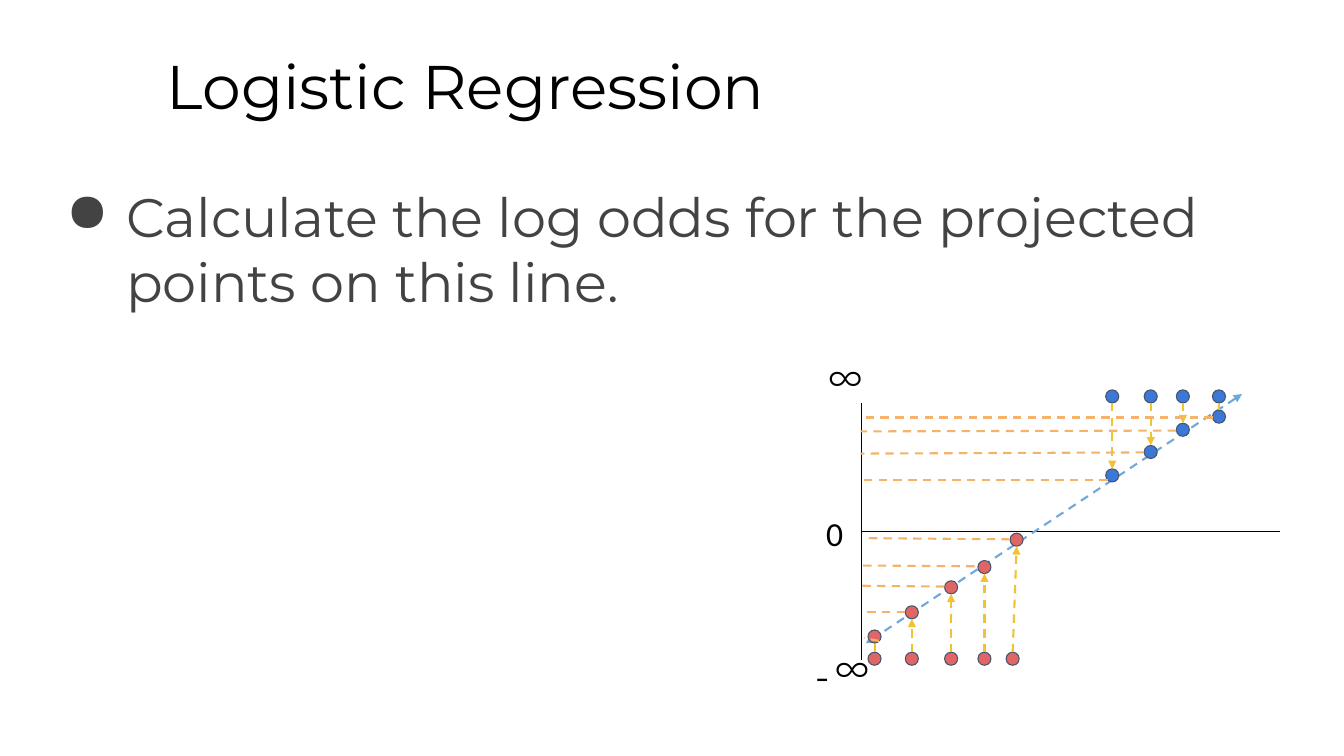
from lxml import etree
from pptx import Presentation
from pptx import util as u
from pptx.dml.color import RGBColor
from pptx.enum import dml, shapes, text
from pptx.oxml.ns import qn

INK, GREY = "000000", "434343"
BLUE, RED, EDGE = "3C78D8", "E06666", "44546A"
TREND, DROP, GUIDE = "6FA8DC", "F1C232", "F6B26B"
RAD = 0.165  # dot radius in cm

# Per class: colour, start height, and points as
# (start x, projected x, projected y, guide line), in cm from the axis top
GROUPS = [
    (RED, 6.44, [
        (0.32, 0.32, 5.88, (0.43, 5.99, 0.05, 5.92)),
        (1.26, 1.26, 5.27, (1.09, 5.26, 0.05, 5.26)),
        (2.25, 2.25, 4.64, (2.08, 4.62, -0.03, 4.6)),
        (3.09, 3.09, 4.13, (2.84, 4.11, -0.1, 4.09)),
        (3.8, 3.9, 3.44, (3.73, 3.43, 0.05, 3.4))]),
    (BLUE, -0.17, [
        (6.31, 6.31, 1.82, (6.2, 1.93, 0, 1.93)),
        (7.28, 7.28, 1.23, (7.11, 1.24, -0.03, 1.27)),
        (8.09, 8.09, 0.67, (7.92, 0.69, -0.03, 0.71)),
        (9, 9, 0.34, (8.84, 0.36, 0.05, 0.36))]),
]

# Axis labels: text, offset and size in cm, font size, font, left indent
LABELS = [
    ("0", (-1.04, 2.54, 0.48, 0.56), 24, "Calibri", 0),
    ("∞", (-0.99, -1.42, 0.48, 0.56), 26.7, "Montserrat", 0),
    ("∞", (-2.72, 5.89, 2.06, 0.56), 26.7, "Montserrat", 1.7),
    ("-", (-3.15, 5.97, 0.61, 0.81), 26.7, "Montserrat", 1.7),
]


def tint(code):
    return RGBColor.from_string(code)


def write(slide, box, words, size, face="Montserrat", shade=INK, left=0, hang=0):
    frame = slide.shapes.add_textbox(*map(u.Cm, box)).text_frame
    look = {"word_wrap": True, "vertical_anchor": text.MSO_ANCHOR.TOP}
    for side in ("left", "right", "top", "bottom"):
        look["margin_" + side] = u.Cm(0.34)
    for key, val in look.items():
        setattr(frame, key, val)
    para = frame.paragraphs[0]
    props = para._p.get_or_add_pPr()
    props.set("marL", str(u.Cm(left)))
    props.set("indent", str(u.Cm(hang)))
    if hang:
        hue = etree.SubElement(props, qn("a:buClr"))
        etree.SubElement(hue, qn("a:srgbClr"), val=shade)
        etree.SubElement(props, qn("a:buChar"), char="●")
    run = para.add_run()
    run.text = words
    for key, val in {"size": u.Pt(size), "name": face}.items():
        setattr(run.font, key, val)
    run.font.color.rgb = tint(shade)
    return para


def link(slide, ends, shade, width=1.5, dash=True, heads=()):
    line = slide.shapes.add_connector(
        shapes.MSO_CONNECTOR.STRAIGHT, *map(u.Cm, ends))
    line.line.color.rgb = tint(shade)
    line.line.width = u.Pt(width)
    if dash:
        line.line.dash_style = dml.MSO_LINE.DASH
    for end in heads:
        etree.SubElement(line.line._get_or_add_ln(), qn("a:" + end), type="triangle")
    etree.SubElement(line._element.spPr, qn("a:effectLst"))


def dot(slide, x, y, shade):
    oval = slide.shapes.add_shape(
        shapes.MSO_SHAPE.OVAL, *map(u.Cm, (x - RAD, y - RAD, 2 * RAD, 2 * RAD)))
    oval.shadow.inherit = False
    oval.fill.solid()
    oval.fill.fore_color.rgb = tint(shade)
    oval.line.color.rgb = tint(EDGE)
    oval.line.width = u.Pt(0.75)


def title(slide, box):
    write(slide, box, "Logistic Regression", 44).line_spacing = 0.9


def body(slide, box):
    write(slide, box,
          "Calculate the log odds for the projected points on this line.",
          38.7, shade=GREY, left=1.7, hang=-1.52)


def plot(slide, box):
    left, top, wide, high = box

    def at(x0, y0, x1, y1):
        return left + x0, top + y0, left + x1, top + y1

    # Axes and their labels
    for ends in ((0, 0, 0, high), (wide, high / 2, 0, high / 2)):
        link(slide, at(*ends), INK, 0.75, dash=False)
    for words, (x, y, w, h), size, face, pad in LABELS:
        write(slide, (left + x, top + y, w, h), words, size, face, left=pad)

    # Starting dots, trend line, projected dots
    for shade, base, points in GROUPS:
        for x, *_ in points:
            dot(slide, left + x, top + base, shade)
    link(slide, at(0.1, 6.05, 9.58, -0.23), TREND, heads=("headEnd", "tailEnd"))
    for shade, _, points in GROUPS:
        for _, x, y, _ in points:
            dot(slide, left + x, top + y, shade)

    # Projection arrows, with no head where the gap is short, then guides
    for _, base, points in GROUPS:
        for x, px, y, _ in points:
            step = RAD if y > base else -RAD
            heads = ("tailEnd",) if abs(y - base) > 0.6 else ()
            link(slide, at(x, base + step, px, y - step), DROP, heads=heads)
    for _, _, points in GROUPS:
        for *_, ends in points:
            link(slide, at(*ends), GUIDE)


def main():
    deck = Presentation()
    deck.slide_width, deck.slide_height = u.Cm(33.87), u.Cm(19.05)
    slide = deck.slides.add_slide(deck.slide_layouts[6])
    title(slide, (3.86, 1.09, 28.85, 2.13))
    body(slide, (1.14, 4.27, 32.16, 6.48))
    plot(slide, (21.72, 10.16, 10.54, 6.48))
    deck.save("out.pptx")


if __name__ == "__main__":
    main()
